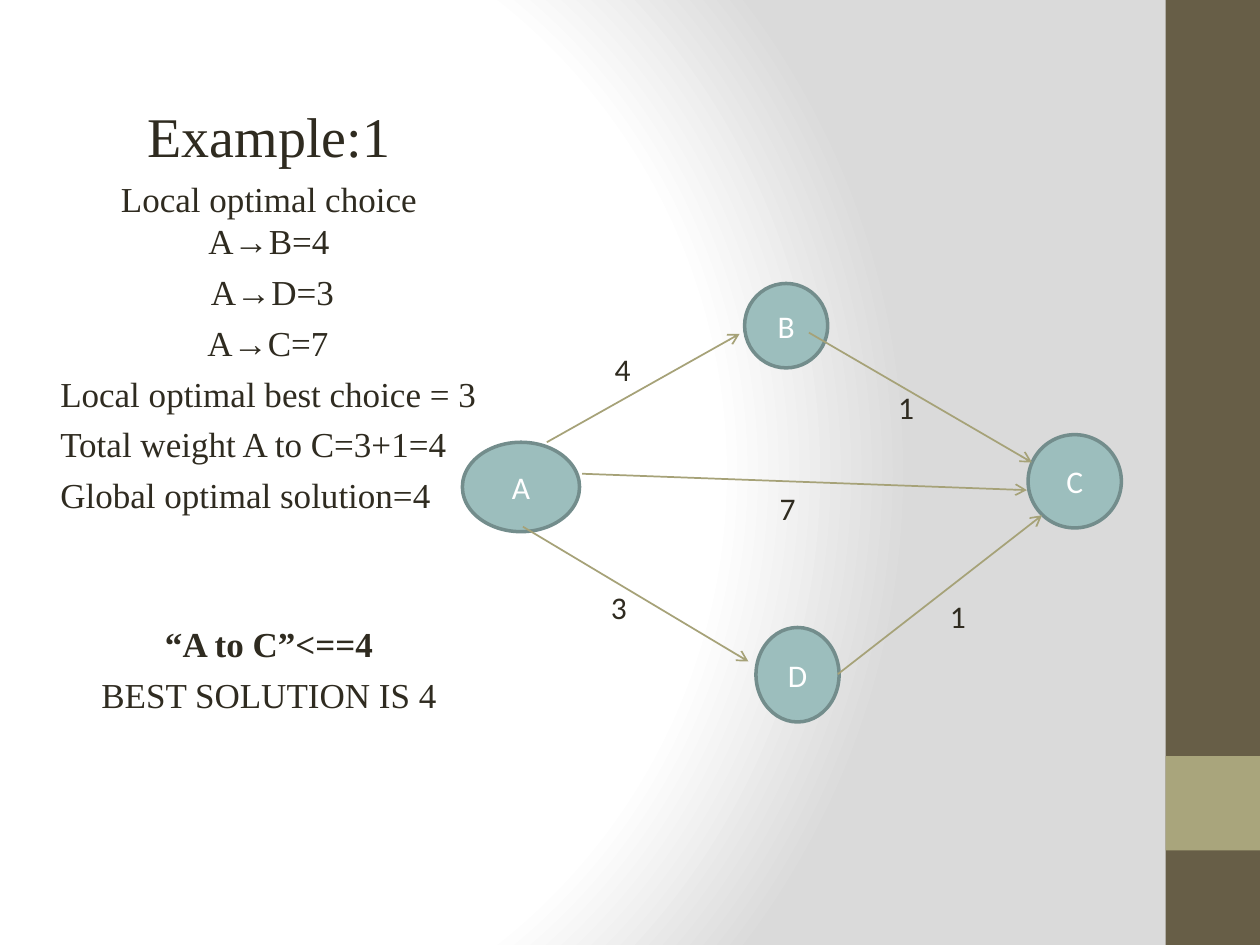
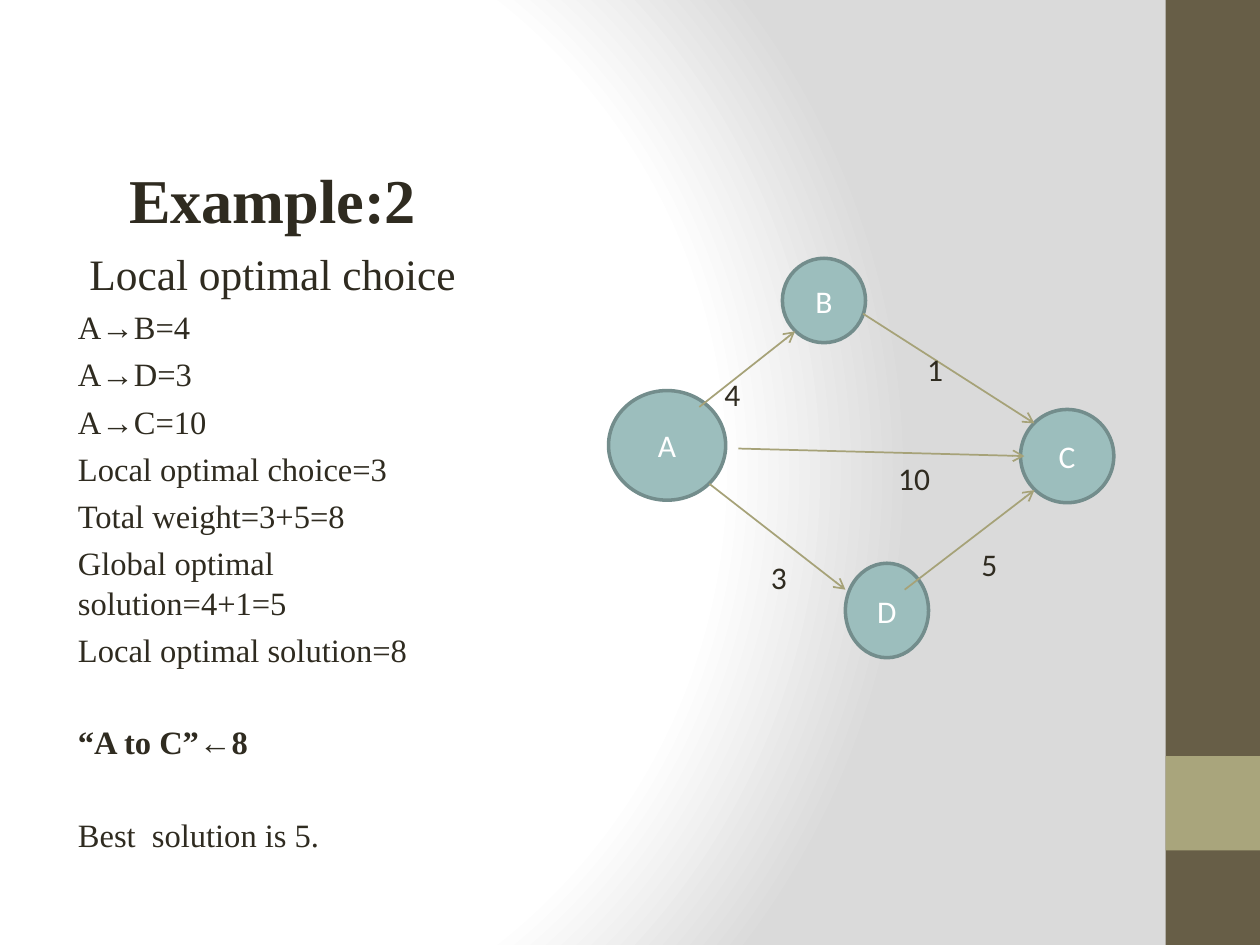
import pptx
import pptx.util
import pptx.oxml
import pptx.oxml.ns
import pptx.dml.color
import pptx.enum.shapes
import pptx.enum.text

Inches = pptx.util.Inches
Pt = pptx.util.Pt
RGBColor = pptx.dml.color.RGBColor
SHAPE = pptx.enum.shapes.MSO_SHAPE
ALIGN = pptx.enum.text.PP_ALIGN
ANCHOR = pptx.enum.text.MSO_ANCHOR

BROWN = RGBColor(0x67, 0x5E, 0x47)
OLIVE = RGBColor(0xA9, 0xA5, 0x7C)
EDGE = RGBColor(0xA6, 0xA2, 0x78)
TEAL = RGBColor(0x9C, 0xBE, 0xBD)
TEAL_DARK = RGBColor(0x73, 0x8D, 0x8C)
INK = RGBColor(0x2F, 0x2B, 0x20)
WHITE = RGBColor(0xFF, 0xFF, 0xFF)

SERIF, SANS = "Times New Roman", "Calibri"
NS = pptx.oxml.ns.nsdecls("a")
GRADIENT = (
    f'<a:gradFill {NS} rotWithShape="1"><a:gsLst>'
    '<a:gs pos="0"><a:srgbClr val="FFFFFF"/></a:gs>'
    '<a:gs pos="75000"><a:srgbClr val="FFFFFF"/></a:gs>'
    '<a:gs pos="100000"><a:srgbClr val="DADADA"/></a:gs></a:gsLst>'
    '<a:path path="circle"><a:fillToRect l="20000" t="50000" r="100000" b="50000"/>'
    '</a:path></a:gradFill>')


class Deck:
    """Holds the style and the current slide."""

    def __init__(self):
        """Start a 4:3 presentation."""
        self.prs = pptx.Presentation()
        self.prs.slide_width, self.prs.slide_height = Inches(10), Inches(7.5)
        self.s = None

    def slide(self):
        """Add a slide with the gradient background and the side bands."""
        self.s = self.prs.slides.add_slide(self.prs.slide_layouts[6])
        self.s.background.fill.solid()
        bg = self.s.element.xpath("p:cSld/p:bg/p:bgPr")[0]
        bg.replace(bg[0], pptx.oxml.parse_xml(GRADIENT))
        self.shape(SHAPE.RECTANGLE, (9.25, 0, 0.75, 7.5), BROWN)
        self.shape(SHAPE.RECTANGLE, (9.25, 6, 0.75, 0.75), OLIVE)

    def shape(self, kind, box, fill, line=None):
        """Add a filled preset shape, outlined if a line colour is given."""
        sp = self.s.shapes.add_shape(kind, *map(Inches, box))
        sp.shadow.inherit = False
        sp.fill.solid()
        sp.fill.fore_color.rgb = fill
        if line is None:
            sp.line.fill.background()
        else:
            sp.line.color.rgb, sp.line.width = line, Pt(2)
        return sp

    def run(self, p, text, color=INK, name=SANS, size=18, bold=False):
        """Put one formatted run into a paragraph."""
        r = p.add_run()
        r.text = text
        r.font.color.rgb = color
        for key, value in dict(name=name, size=Pt(size), bold=bold).items():
            setattr(r.font, key, value)

    def textbox(self, box, wrap):
        """Add a text box and return its text frame."""
        tf = self.s.shapes.add_textbox(*map(Inches, box)).text_frame
        tf.word_wrap = wrap
        return tf

    def body(self, box, lines):
        """Add the explanation: (text, size, alignment, bold, extra gap) per line."""
        tf = self.textbox(box, True)
        for i, (text, size, align, bold, gap) in enumerate(lines):
            p = tf.add_paragraph() if i else tf.paragraphs[0]
            p.alignment = align
            p.space_before = Pt(round(size * (0.25 if i else 0.13) + gap, 1))
            self.run(p, text, name=SERIF, size=size, bold=bold)

    def node(self, name, *box):
        """Add a graph node."""
        sp = self.shape(SHAPE.OVAL, box, TEAL, TEAL_DARK)
        tf = sp.text_frame
        tf.vertical_anchor = ANCHOR.MIDDLE
        tf.paragraphs[0].alignment = ALIGN.CENTER
        self.run(tf.paragraphs[0], name, WHITE)

    def edge(self, *ends):
        """Add an arrow from x1, y1 to x2, y2."""
        line = self.s.shapes.add_connector(
            pptx.enum.shapes.MSO_CONNECTOR.STRAIGHT, *map(Inches, ends))
        line.line.color.rgb, line.line.width = EDGE, Pt(1)
        props = line.element.spPr
        props.get_or_add_ln().append(
            pptx.oxml.parse_xml(f'<a:tailEnd {NS} type="arrow"/>'))
        props.append(pptx.oxml.parse_xml(f"<a:effectLst {NS}/>"))

    def weight(self, text, x, y):
        """Add the weight beside an edge."""
        tf = self.textbox((x, y, 0.2 + 0.13 * len(text), 0.4), False)
        self.run(tf.paragraphs[0], text)

    def graph(self, nodes, edges, weights):
        """Draw nodes, then edges, then weights."""
        for method, items in ((self.node, nodes), (self.edge, edges), (self.weight, weights)):
            for item in items:
                method(*item)


LEFT, CENTER = ALIGN.LEFT, ALIGN.CENTER
deck = Deck()

deck.slide()
deck.body((0.38, 0.76, 3.51, 6.22), [
    ("Example:1", 32, CENTER, False, 0),
    ("Local optimal choice A→B=4", 20, CENTER, False, 0),
    (" A→D=3", 20, CENTER, False, 0),
    (" A→C=7 ", 20, CENTER, False, 0),
    ("Local optimal best choice = 3", 20, LEFT, False, 0),
    ("Total weight A to C=3+1=4", 20, LEFT, False, 0),
    ("Global optimal solution=4 ", 20, LEFT, False, 0),
    ("“A to C”<==4", 20, CENTER, True, 56),
    ("BEST SOLUTION IS 4", 20, CENTER, False, 0),
])
deck.graph(
    nodes=[("A", 3.67, 3.51, 0.93, 0.71), ("C", 8.16, 3.45, 0.74, 0.74),
           ("B", 5.91, 2.25, 0.66, 0.67), ("D", 6, 4.98, 0.66, 0.75)],
    edges=[(4.15, 4.18, 5.94, 5.25), (4.34, 3.51, 5.87, 2.65),
           (6.42, 2.64, 8.19, 3.67), (4.62, 3.76, 8.15, 3.89),
           (6.65, 5.35, 8.27, 4.09)],
    weights=[("4", 4.78, 2.73), ("1", 7.03, 3.03), ("7", 6.09, 3.83),
             ("3", 4.75, 4.62), ("1", 7.44, 4.69)])

deck.slide()
deck.body((0.52, 1.23, 3.29, 5.33), [
    ("Example:2", 35.6, CENTER, True, 0),
    ("Local optimal choice", 24.8, CENTER, False, 0),
    ("A→B=4", 18.6, LEFT, False, 0),
    ("A→D=3", 18.6, LEFT, False, 0),
    ("A→C=10", 18.6, LEFT, False, 0),
    ("Local optimal choice=3", 18.6, LEFT, False, 0),
    ("Total weight=3+5=8", 18.6, LEFT, False, 0),
    ("Global optimal solution=4+1=5", 18.6, LEFT, False, 0),
    ("Local optimal solution=8", 18.6, LEFT, False, 0),
    ("“A to C”←8", 18.6, LEFT, True, 26),
    ("Best  solution is 5.", 18.6, LEFT, False, 26),
])
deck.graph(
    nodes=[("A", 4.83, 3.1, 0.93, 0.87), ("C", 8.1, 3.25, 0.74, 0.74),
           ("B", 6.21, 2.05, 0.66, 0.67), ("D", 6.71, 4.47, 0.66, 0.75)],
    edges=[(5.63, 3.84, 6.71, 4.68), (5.55, 3.23, 6.31, 2.63),
           (6.85, 2.49, 8.21, 3.36), (5.86, 3.56, 8.13, 3.62),
           (7.18, 4.68, 8.21, 3.89)],
    weights=[("4", 5.65, 2.93), ("3", 6.02, 4.38), ("5", 7.69, 4.28),
             ("10", 7.03, 3.59), ("1", 7.26, 2.73)])

deck.prs.save("out.pptx")
